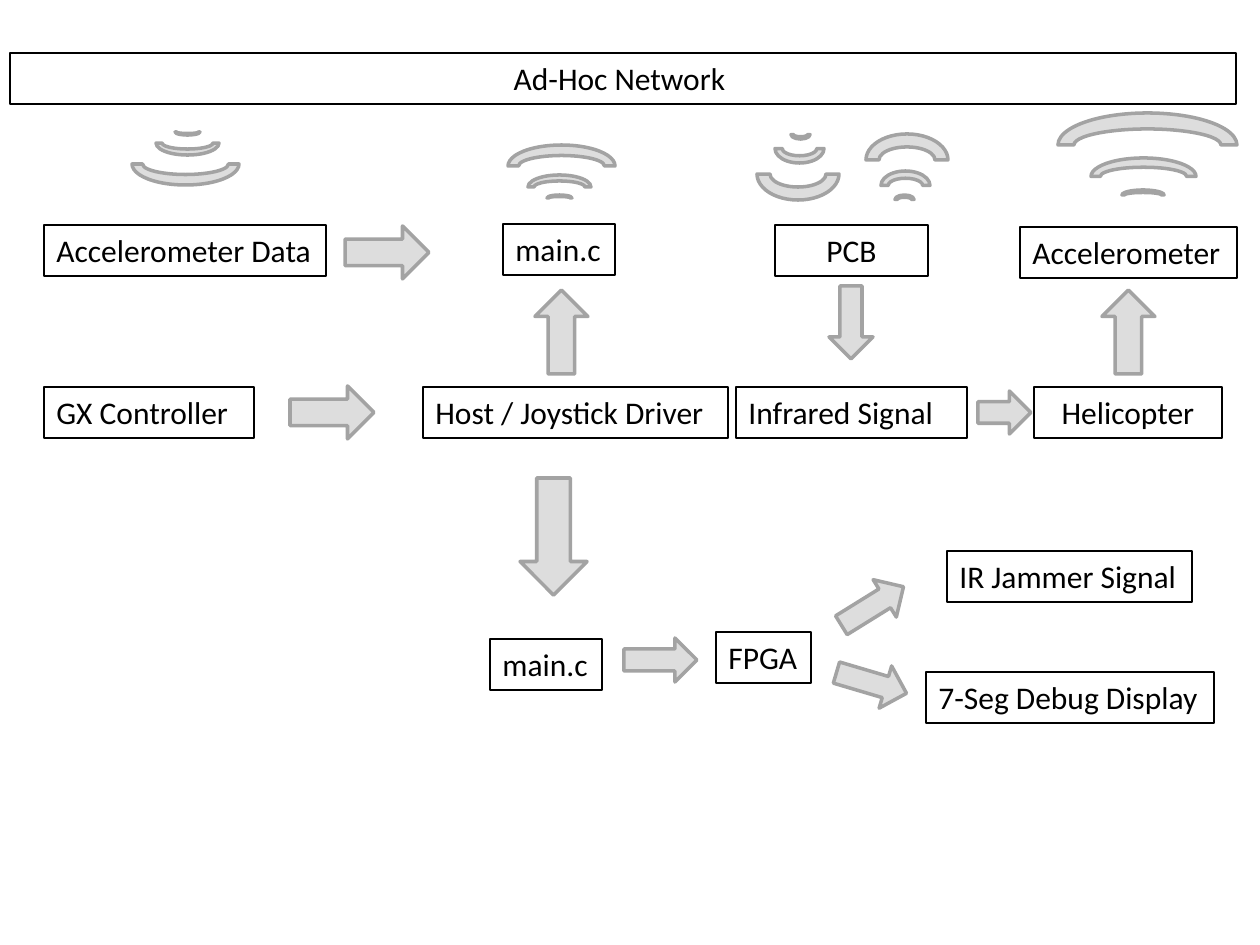
"""Build the block diagram of an ad-hoc helicopter control network."""
import pptx
import pptx.dml.color
import pptx.enum.shapes
import pptx.enum.text
import pptx.util

SHAPE = pptx.enum.shapes.MSO_SHAPE
ALIGN = pptx.enum.text.PP_ALIGN
COLORS = {"ink": "000000", "fill": "DDDDDD", "edge": "A3A3A3"}
PIXEL = pptx.util.Inches(1) / 126
FONT = "Calibri"

SMALL_WAVES = [(29, 61, 19, 9), (15, 37, 49, 29), (0, 0, 82, 52)]
MEDIUM_WAVES = [(39, 50, 25, 6), (20, 30, 63, 24), (0, 0, 107, 42)]
LARGE_WAVES = [(64, 77, 42, 10), (33, 45, 105, 37), (0, 0, 179, 64)]


def emu(*pixels):
    return [pptx.util.Emu(round(value * PIXEL)) for value in pixels]


def rgb(name):
    return pptx.dml.color.RGBColor.from_string(COLORS[name])


def write_text(shape, text, align=ALIGN.LEFT, wrap=True, size=18, color="ink"):
    frame = shape.text_frame
    frame.word_wrap = wrap
    frame.auto_size = pptx.enum.text.MSO_AUTO_SIZE.NONE
    frame.vertical_anchor = pptx.enum.text.MSO_ANCHOR.TOP
    paragraph = frame.paragraphs[0]
    paragraph.alignment = align
    run = paragraph.add_run()
    run.text = text
    run.font.name = FONT
    run.font.size = pptx.util.Pt(size)
    run.font.color.rgb = rgb(color)


class Diagram:
    """Hold the diagram style and the current slide."""

    box_height = 51

    def __init__(self, slide):
        self.slide = slide

    def outline(self, shape, color, width):
        shape.line.color.rgb = rgb(color)
        shape.line.width = pptx.util.Pt(width)

    def title(self, left, top, width, text):
        shape = self.slide.shapes.title
        shape.left, shape.top, shape.width, shape.height = emu(
            left, top, width, self.box_height)
        self.outline(shape, "ink", 0.75)
        write_text(shape, text, align=ALIGN.CENTER)

    def box(self, left, top, width, text, **text_format):
        shape = self.slide.shapes.add_textbox(*emu(left, top, width, self.box_height))
        self.outline(shape, "ink", 0.75)
        write_text(shape, text, **text_format)

    def symbol(self, shapes, kind, left, top, width, height, rotation=0):
        shape = shapes.add_shape(kind, *emu(left, top, width, height))
        shape.shadow.inherit = False
        shape.fill.solid()
        shape.fill.fore_color.rgb = rgb("fill")
        self.outline(shape, "edge", 2)
        shape.rotation = rotation

    def arrow(self, kind, left, top, width, height, rotation=0):
        self.symbol(self.slide.shapes, kind, left, top, width, height, rotation)

    def waves(self, left, top, arcs, rotation=0):
        group = self.slide.shapes.add_group_shape()
        for x, y, width, height in arcs:
            self.symbol(group.shapes, SHAPE.BLOCK_ARC, left + x, top + y, width, height)
        group.rotation = rotation


presentation = pptx.Presentation()
presentation.slide_width = pptx.util.Inches(10)
presentation.slide_height = pptx.util.Inches(7.5)
diagram = Diagram(presentation.slides.add_slide(presentation.slide_layouts[5]))

diagram.title(10, 53, 1226, "Ad-Hoc Network ")

for left, top, width, text, text_format in [
    (44, 225, 282, "Accelerometer Data", {"wrap": False}),
    (503, 224, 112, "main.c", {"wrap": False}),
    (775, 225, 153, "PCB", {"align": ALIGN.CENTER}),
    (1020, 227, 217, "Accelerometer", {}),
    (44, 387, 210, "GX Controller", {}),
    (423, 387, 305, "Host / Joystick Driver", {}),
    (736, 387, 231, "Infrared Signal", {}),
    (1034, 387, 188, "Helicopter", {"align": ALIGN.CENTER}),
    (490, 639, 112, "main.c", {"wrap": False}),
    (716, 632, 95, "FPGA", {"wrap": False}),
    (947, 551, 245, "IR Jammer Signal", {"wrap": False}),
    (926, 672, 288, "7-Seg Debug Display", {"wrap": False}),
]:
    diagram.box(left, top, width, text, **text_format)

for arrow in [
    (SHAPE.RIGHT_ARROW, 345, 226, 84, 53),
    (SHAPE.RIGHT_ARROW, 290, 386, 84, 53),
    (SHAPE.UP_ARROW, 535, 290, 53, 84),
    (SHAPE.DOWN_ARROW, 829, 286, 44, 73),
    (SHAPE.RIGHT_ARROW, 978, 391, 53, 43),
    (SHAPE.UP_ARROW, 1102, 290, 53, 84),
    (SHAPE.DOWN_ARROW, 520, 478, 67, 117),
    (SHAPE.RIGHT_ARROW, 624, 638, 73, 44),
    (SHAPE.RIGHT_ARROW, 836, 584, 73, 44, -31.8),
    (SHAPE.RIGHT_ARROW, 835, 661, 73, 44, 16.5),
]:
    diagram.arrow(*arrow)

diagram.waves(132, 129, MEDIUM_WAVES, rotation=180)
diagram.waves(508, 145, MEDIUM_WAVES)
diagram.waves(757, 130, SMALL_WAVES, rotation=180)
diagram.waves(866, 134, SMALL_WAVES)
diagram.waves(1058, 113, LARGE_WAVES)

presentation.save("out.pptx")
